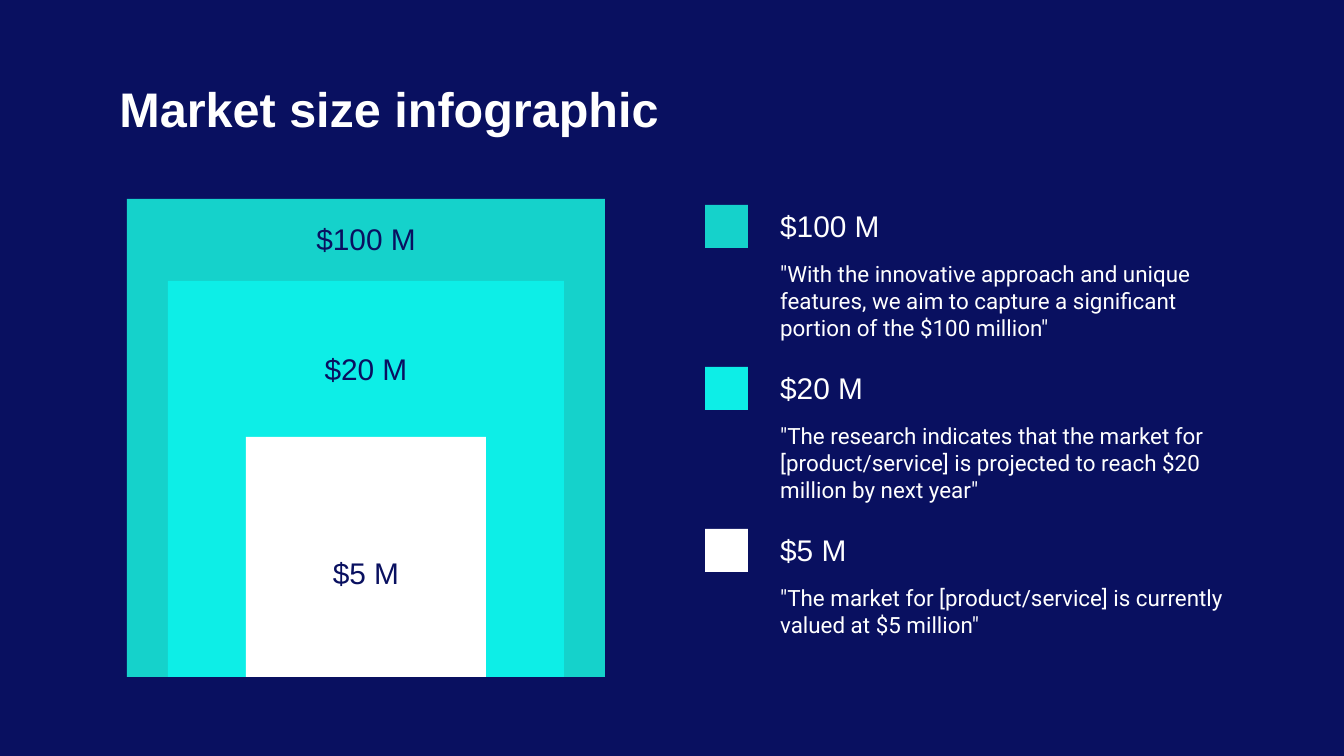
from dataclasses import dataclass

from pptx import Presentation
from pptx import util as u
from pptx.dml.color import RGBColor
from pptx.enum import shapes, text

WIDTH, HEIGHT = 1344, 756
PX = u.Inches(10) / WIDTH


@dataclass(frozen=True)
class Theme:
    navy: str = "091060"
    teal: str = "15D2CB"
    cyan: str = "0DEEE7"
    white: str = "FFFFFF"
    heading_font: str = "Arial"
    body_font: str = "Roboto"
    title_size: int = 26
    label_size: int = 16
    body_size: int = 12


THEME = Theme()
TITLE = "Market size infographic"
# amount, colour, square side, centre of its label, description
MARKETS = [
    ("$100 M", THEME.teal, 478, 239,
     '"With the innovative approach and unique features, we aim to capture '
     'a significant portion of the $100 million"'),
    ("$20 M", THEME.cyan, 396, 369,
     '"The research indicates that the market for [product/service] is '
     'projected to reach $20 million by next year"'),
    ("$5 M", THEME.white, 240, 573,
     '"The market for [product/service] is currently valued at $5 million"'),
]

TITLE_BOX = (106, 66, 1132, 85)
SQUARES_CENTER, SQUARES_BOTTOM = 366, 677
LABEL_WIDTH, LABEL_HEIGHT = 188, 82
LEGEND_TOP, LEGEND_STEP = 195, 162
SWATCH_LEFT, SWATCH_OFFSET, SWATCH_SIDE = 705, 10, 43
TEXT_LEFT, TEXT_WIDTH = 767, 470
HEADING_HEIGHT, BODY_OFFSET, BODY_HEIGHT = 62, 52, 97


def emu(*lengths):
    return [u.Emu(round(length * PX)) for length in lengths]


def add_square(slide, left, top, side, color):
    shape = slide.shapes.add_shape(
        shapes.MSO_SHAPE.RECTANGLE, *emu(left, top, side, side))
    shape.shadow.inherit = False
    shape.fill.solid()
    shape.fill.fore_color.rgb = RGBColor.from_string(color)
    shape.line.fill.background()


def format_text(shape, content, size, color, font=THEME.heading_font,
                anchor=text.MSO_ANCHOR.TOP, align=text.PP_ALIGN.LEFT, bold=False):
    frame = shape.text_frame
    frame.text = content
    frame.word_wrap = True
    frame.auto_size = text.MSO_AUTO_SIZE.NONE
    frame.vertical_anchor = anchor
    frame.margin_left = frame.margin_right = u.Inches(0.1)
    frame.margin_top = frame.margin_bottom = u.Inches(0.1)
    paragraph = frame.paragraphs[0]
    paragraph.alignment = align
    run_font = paragraph.runs[0].font
    run_font.name = font
    run_font.size = u.Pt(size)
    run_font.bold = bold
    run_font.color.rgb = RGBColor.from_string(color)


def add_text(slide, box, *args, **options):
    format_text(slide.shapes.add_textbox(*emu(*box)), *args, **options)


def add_title(slide):
    title = slide.shapes.title
    title.left, title.top, title.width, title.height = emu(*TITLE_BOX)
    format_text(title, TITLE, THEME.title_size, THEME.white, bold=True)


def add_nested_squares(slide):
    """Draw the squares largest first, on a shared base line."""
    for amount, color, side, label_center, _ in MARKETS:
        add_square(slide, SQUARES_CENTER - side / 2, SQUARES_BOTTOM - side, side, color)
        box = (SQUARES_CENTER - LABEL_WIDTH / 2, label_center - LABEL_HEIGHT / 2,
               LABEL_WIDTH, LABEL_HEIGHT)
        add_text(slide, box, amount, THEME.label_size, THEME.navy,
                 anchor=text.MSO_ANCHOR.MIDDLE, align=text.PP_ALIGN.CENTER)


def add_legend(slide):
    for row, (amount, color, _, _, description) in enumerate(MARKETS):
        top = LEGEND_TOP + row * LEGEND_STEP
        add_square(slide, SWATCH_LEFT, top + SWATCH_OFFSET, SWATCH_SIDE, color)
        add_text(slide, (TEXT_LEFT, top, TEXT_WIDTH, HEADING_HEIGHT), amount,
                 THEME.label_size, THEME.white, anchor=text.MSO_ANCHOR.BOTTOM)
        add_text(slide, (TEXT_LEFT, top + BODY_OFFSET, TEXT_WIDTH, BODY_HEIGHT),
                 description, THEME.body_size, THEME.white, font=THEME.body_font)


def main():
    presentation = Presentation()
    presentation.slide_width, presentation.slide_height = emu(WIDTH, HEIGHT)
    slide = presentation.slides.add_slide(presentation.slide_layouts[5])
    slide.background.fill.solid()
    slide.background.fill.fore_color.rgb = RGBColor.from_string(THEME.navy)
    add_title(slide)
    add_nested_squares(slide)
    add_legend(slide)
    presentation.save("out.pptx")


if __name__ == "__main__":
    main()
